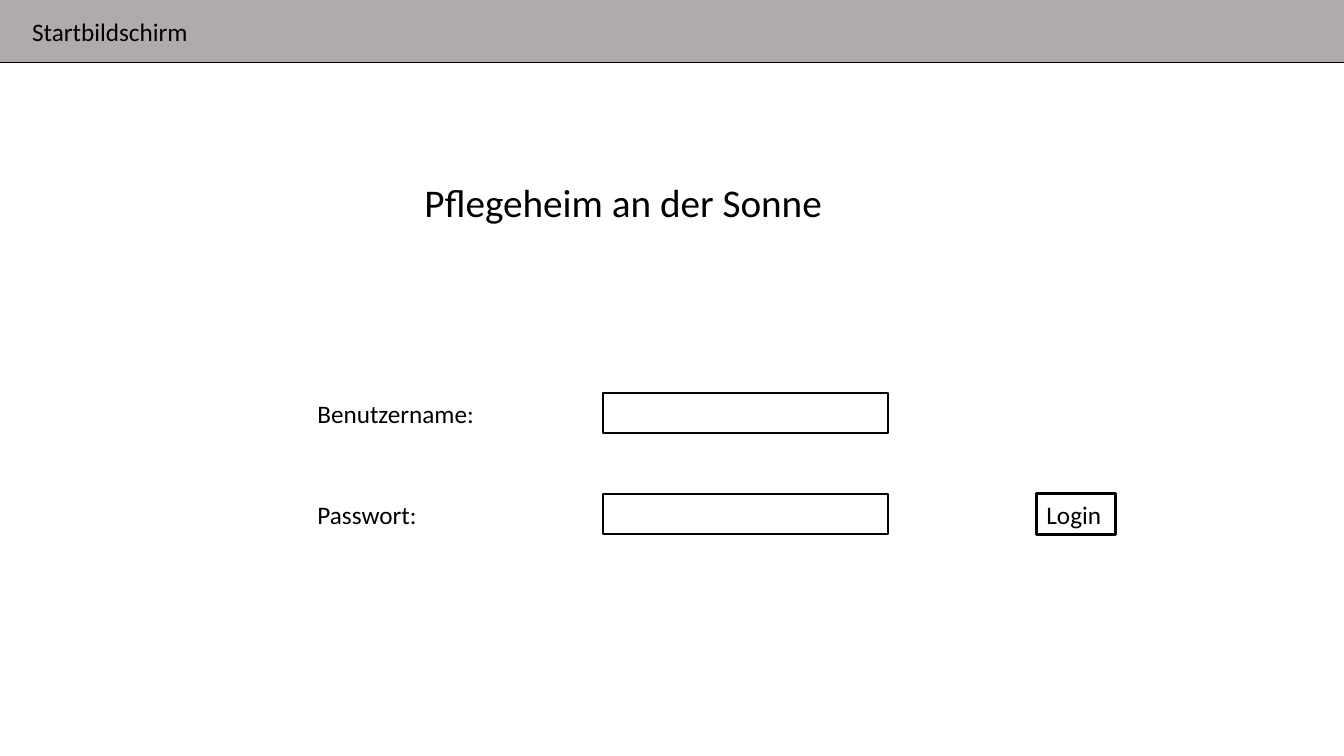
from pptx import Presentation
from pptx.dml.color import RGBColor
from pptx.enum.shapes import MSO_SHAPE
from pptx.enum.text import MSO_ANCHOR, MSO_AUTO_SIZE, PP_ALIGN
from pptx.util import Inches, Pt

COLORS = {"ink": "000000", "bar": "AFABAB"}
FONT = "Calibri"
FIELD_HEIGHT = 0.4


def write(shape, text, size=18):
    frame = shape.text_frame
    frame.text = text
    frame.word_wrap = True
    frame.auto_size = MSO_AUTO_SIZE.NONE
    frame.vertical_anchor = MSO_ANCHOR.TOP
    paragraph = frame.paragraphs[0]
    paragraph.alignment = PP_ALIGN.LEFT
    paragraph.font.name = FONT
    paragraph.font.size = Pt(size)
    paragraph.font.color.rgb = RGBColor.from_string(COLORS["ink"])


def add_label(slide, text, left, top, width):
    label = slide.shapes.add_textbox(
        Inches(left), Inches(top), Inches(width), Inches(FIELD_HEIGHT))
    write(label, text)


def add_box(slide, left, top, width, height, line_width, fill=None):
    box = slide.shapes.add_shape(
        MSO_SHAPE.RECTANGLE,
        Inches(left), Inches(top), Inches(width), Inches(height))
    box.shadow.inherit = False
    if fill:
        box.fill.solid()
        box.fill.fore_color.rgb = RGBColor.from_string(COLORS[fill])
    else:
        box.fill.background()
    box.line.color.rgb = RGBColor.from_string(COLORS["ink"])
    box.line.width = Pt(line_width)
    return box


def add_header(slide, left, top, width, height):
    add_box(slide, left, top, width, height, 1, "bar")
    add_label(slide, "Startbildschirm", left + 0.36, top + 0.31, 2.83)


def place_title(slide, left, top, width, height):
    title = slide.shapes.title
    title.left, title.top = Inches(left), Inches(top)
    title.width, title.height = Inches(width), Inches(height)
    write(title, "Pflegeheim an der Sonne", 28)


def add_login_form(slide, left, top, column_width, row_pitch):
    labels = ["Benutzername:", "Passwort:"]
    for row, text in enumerate(labels):
        row_top = top + row * row_pitch
        add_label(slide, text, left, row_top, column_width)
        add_box(slide, left + column_width + 0.1, row_top,
                column_width, FIELD_HEIGHT, 1.5)
    button = add_box(slide, left + 7.23, row_top, 0.78, FIELD_HEIGHT, 2.25)
    write(button, "Login")


def main():
    presentation = Presentation()
    presentation.slide_width = Inches(13.33)
    presentation.slide_height = Inches(7.5)
    slide = presentation.slides.add_slide(presentation.slide_layouts[5])
    add_header(slide, -0.14, -0.2, 13.74, 0.82)
    place_title(slide, 4.11, 1.72, 5.91, 0.57)
    add_login_form(slide, 3.05, 3.9, 2.83, 1)
    presentation.save("out.pptx")


if __name__ == "__main__":
    main()
